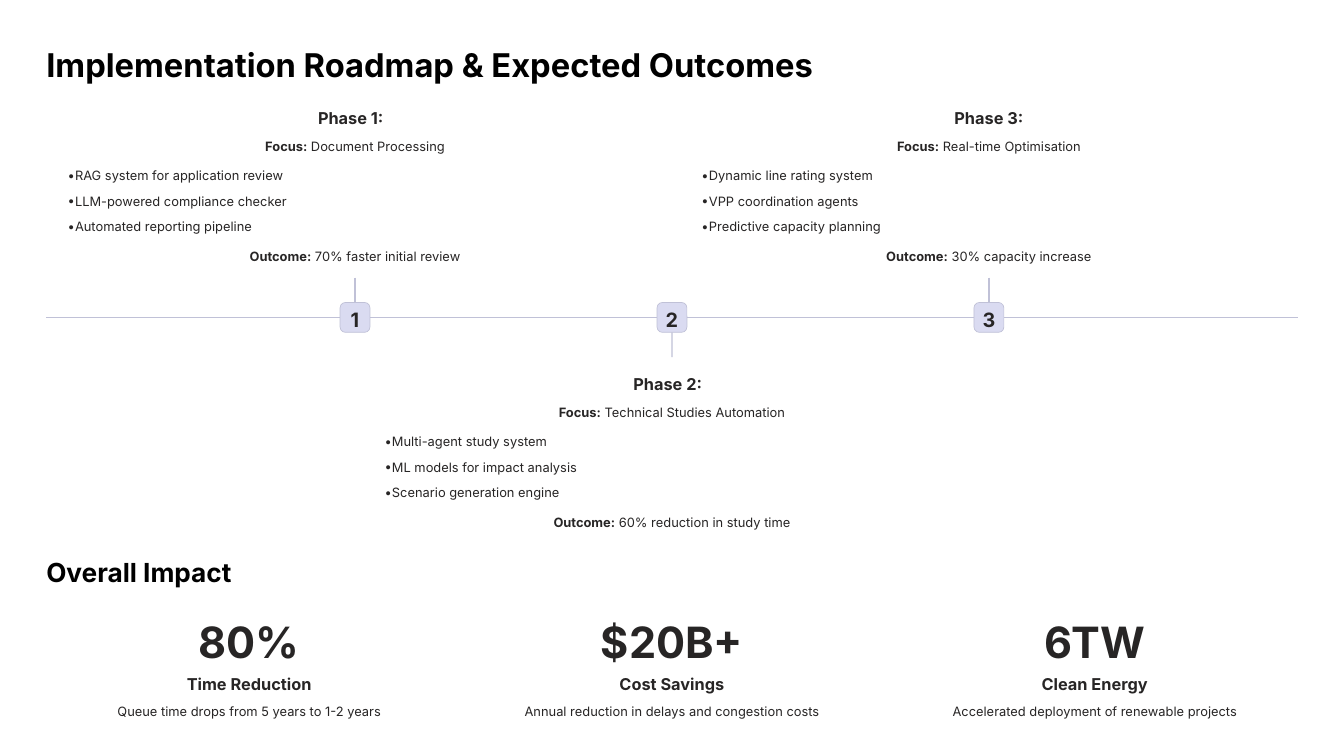
from dataclasses import dataclass

from lxml.etree import SubElement
from pptx import Presentation
from pptx.dml.color import RGBColor
from pptx.enum.shapes import MSO_CONNECTOR, MSO_SHAPE
from pptx.enum.text import MSO_ANCHOR, MSO_AUTO_SIZE, PP_ALIGN
from pptx.oxml.ns import qn
from pptx.util import Cm, Pt

FONT = "Inter"
BLACK = RGBColor(0x00, 0x00, 0x00)
INK = RGBColor(0x27, 0x25, 0x25)
LAVENDER = RGBColor(0xDA, 0xDB, 0xF1)
LINE = RGBColor(0xC0, 0xC1, 0xD7)

# Lengths in centimetres
PAGE_WIDTH, PAGE_HEIGHT = 50.8, 28.58
MARGIN = 1.75
AXIS_Y = 12.0
NODE_SIZE = 1.13
STEM_LENGTH = 1.5
PHASE_PITCH = 11.98
PHASE_WIDTH = 22.33
ABOVE_TOP, BELOW_TOP = 3.91, 13.97
METRIC_PITCH = 15.98
METRIC_WIDTH = 15.34


@dataclass(frozen=True)
class Style:
    size: float
    spacing: float
    bold: bool = False
    color: RGBColor = INK
    align: PP_ALIGN = PP_ALIGN.CENTER


TITLE = Style(35, 1.25, True, BLACK, PP_ALIGN.LEFT)
SECTION = Style(28.1, 1.24, True, BLACK, PP_ALIGN.LEFT)
HEADING = Style(17.5, 1.25, True)
DETAIL = Style(13.8, 1.64)
BULLET = Style(13.8, 1.65, align=PP_ALIGN.LEFT)
NUMBER = Style(21.2, 1.0, True)
FIGURE = Style(46.2, 1.0, True)


@dataclass(frozen=True)
class Phase:
    number: int
    focus: str
    steps: tuple[str, ...]
    outcome: str
    above: bool = True
    heading_shift: float = 0.0


@dataclass(frozen=True)
class Metric:
    figure: str
    label: str
    detail: str


PHASES = (
    Phase(1, "Document Processing",
          ("RAG system for application review", "LLM-powered compliance checker",
           "Automated reporting pipeline"),
          "70% faster initial review", heading_shift=-0.16),
    Phase(2, "Technical Studies Automation",
          ("Multi-agent study system", "ML models for impact analysis",
           "Scenario generation engine"),
          "60% reduction in study time", above=False, heading_shift=-0.16),
    Phase(3, "Real-time Optimisation",
          ("Dynamic line rating system", "VPP coordination agents",
           "Predictive capacity planning"),
          "30% capacity increase"),
)
METRICS = (
    Metric("80%", "Time Reduction", "Queue time drops from 5 years to 1-2 years"),
    Metric("$20B+", "Cost Savings", "Annual reduction in delays and congestion costs"),
    Metric("6TW", "Clean Energy", "Accelerated deployment of renewable projects"),
)


def format_para(para, style: Style) -> None:
    para.alignment = style.align
    para.line_spacing = style.spacing
    para.space_before = Pt(0)
    for span in para.runs:
        span.font.name = FONT
        span.font.size = Pt(style.size)
        span.font.bold = style.bold
        span.font.color.rgb = style.color


def clear_frame(frame) -> None:
    """Drop the insets and automatic sizing, and start the text at the top."""
    frame.margin_left = frame.margin_right = frame.margin_top = frame.margin_bottom = 0
    frame.word_wrap = True
    frame.auto_size = MSO_AUTO_SIZE.NONE
    frame.vertical_anchor = MSO_ANCHOR.TOP


def place(box, left: float, top: float, width: float, height: float) -> None:
    box.left, box.top = Cm(left), Cm(top)
    box.width, box.height = Cm(width), Cm(height)


def fill_placeholder(box, text: str, style: Style, area: tuple) -> None:
    place(box, *area)
    clear_frame(box.text_frame)
    box.text_frame.text = text
    format_para(box.text_frame.paragraphs[0], style)


def add_text(page, text: str, style: Style, center: float, top: float,
             width: float, height: float, lead: str = "") -> None:
    """Add a centred line, with an optional bold lead-in."""
    box = page.shapes.add_textbox(Cm(center - width / 2), Cm(top), Cm(width), Cm(height))
    clear_frame(box.text_frame)
    para = box.text_frame.paragraphs[0]
    if lead:
        para.add_run().text = lead
    para.add_run().text = text
    format_para(para, style)
    if lead:
        para.runs[0].font.bold = True


def add_bullet(para) -> None:
    properties = para._p.get_or_add_pPr()
    properties.set("marL", str(Cm(0.58)))
    properties.set("indent", str(Cm(-0.28)))
    color = SubElement(properties, qn("a:buClr"))
    SubElement(color, qn("a:srgbClr")).set("val", str(INK))
    SubElement(properties, qn("a:buFont")).set("typeface", FONT)
    SubElement(properties, qn("a:buChar")).set("char", "•")


def fill_list(box, steps: tuple[str, ...], left: float, top: float) -> None:
    place(box, left, top, PHASE_WIDTH, 2.95)
    clear_frame(box.text_frame)
    box.text_frame.text = "\n".join(steps)
    for para in box.text_frame.paragraphs:
        add_bullet(para)
        format_para(para, BULLET)


def add_line(page, start: tuple[float, float], end: tuple[float, float]):
    line = page.shapes.add_connector(MSO_CONNECTOR.STRAIGHT, Cm(start[0]), Cm(start[1]),
                                     Cm(end[0]), Cm(end[1]))
    line.line.color.rgb = LINE
    line.line.width = Pt(1.5)
    SubElement(line._element.spPr, qn("a:effectLst"))
    return line


def add_node(page, number: int, center: float):
    node = page.shapes.add_shape(MSO_SHAPE.ROUNDED_RECTANGLE, Cm(center - NODE_SIZE / 2),
                                 Cm(AXIS_Y - NODE_SIZE / 2), Cm(NODE_SIZE), Cm(NODE_SIZE))
    node.adjustments[0] = 0.18
    node.shadow.inherit = False
    node.fill.solid()
    node.fill.fore_color.rgb = LAVENDER
    node.line.color.rgb = LINE
    node.line.width = Pt(0.75)
    clear_frame(node.text_frame)
    node.text_frame.vertical_anchor = MSO_ANCHOR.MIDDLE
    node.text_frame.margin_top = Cm(0.13)
    node.text_frame.text = str(number)
    format_para(node.text_frame.paragraphs[0], NUMBER)
    return node


def add_phase(page, phase: Phase, list_box) -> None:
    center = PAGE_WIDTH / 2 + (phase.number - 2) * PHASE_PITCH
    top = ABOVE_TOP if phase.above else BELOW_TOP
    node = add_node(page, phase.number, center)
    direction = -1 if phase.above else 1
    stem = add_line(page, (center, AXIS_Y + direction * STEM_LENGTH), (center, AXIS_Y))
    stem.end_connect(node, 0 if phase.above else 2)

    add_text(page, f"Phase {phase.number}:", HEADING, center + phase.heading_shift, top, 7, 0.94)
    add_text(page, f" {phase.focus}", DETAIL, center, top + 0.96, PHASE_WIDTH, 0.97, "Focus:")
    fill_list(list_box, phase.steps, center - PHASE_WIDTH / 2, top + 2.06)
    add_text(page, f" {phase.outcome}", DETAIL, center, top + 5.11, PHASE_WIDTH, 0.97, "Outcome:")


def add_metric(page, metric: Metric, center: float) -> None:
    add_text(page, metric.figure, FIGURE, center, 23.27, METRIC_WIDTH, 1.42)
    add_text(page, metric.label, HEADING, center, 25.3, METRIC_WIDTH, 0.81)
    add_text(page, metric.detail, DETAIL, center, 26.24, METRIC_WIDTH, 0.97)


def main() -> None:
    deck = Presentation()
    deck.slide_width, deck.slide_height = Cm(PAGE_WIDTH), Cm(PAGE_HEIGHT)
    page = deck.slides.add_slide(deck.slide_layouts.get_by_name("Comparison"))
    title, first_list, second_list, section, third_list = list(page.placeholders)[:5]

    fill_placeholder(title, "Implementation Roadmap & Expected Outcomes", TITLE,
                     (MARGIN, 1.32, 32, 1.63))
    fill_placeholder(section, "Overall Impact", SECTION, (MARGIN, 20.75, 10, 1.27))

    add_line(page, (MARGIN, AXIS_Y), (PAGE_WIDTH - MARGIN, AXIS_Y))
    for phase, list_box in zip(PHASES, (first_list, second_list, third_list)):
        add_phase(page, phase, list_box)
    for column, metric in enumerate(METRICS):
        add_metric(page, metric, PAGE_WIDTH / 2 + (column - 1) * METRIC_PITCH)
    deck.save("out.pptx")


if __name__ == "__main__":
    main()
